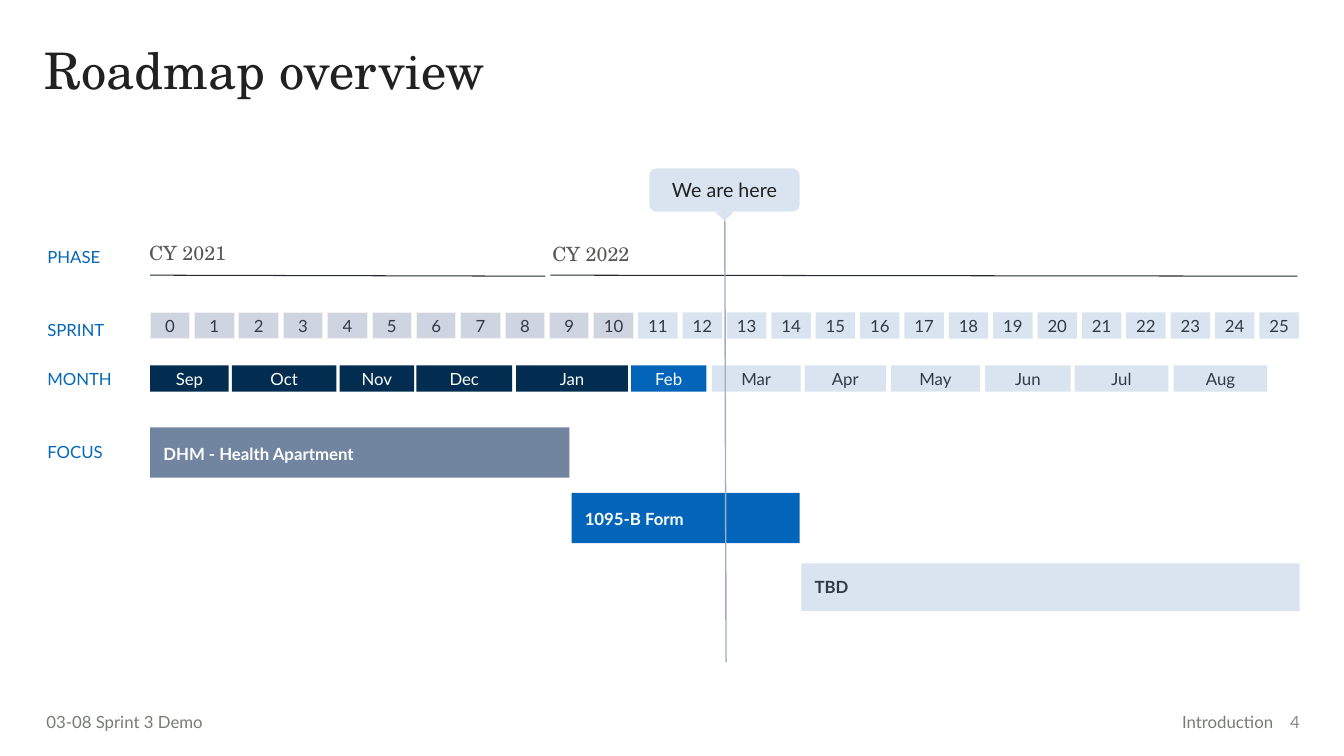
from lxml.etree import SubElement
from pptx import Presentation
from pptx.dml.color import RGBColor
from pptx.enum.shapes import MSO_CONNECTOR as Connector, MSO_SHAPE as Shape
from pptx.enum.text import MSO_ANCHOR as Anchor, MSO_AUTO_SIZE as AutoSize, PP_ALIGN as Align
from pptx.oxml.ns import qn
from pptx.util import Inches, Pt

WHITE = RGBColor(0xFD, 0xFF, 0xFD)
INK = RGBColor(0x20, 0x21, 0x20)
SLATE = RGBColor(0x30, 0x3A, 0x46)
RULE = RGBColor(0x23, 0x2B, 0x34)
YEAR_GREY = RGBColor(0x56, 0x59, 0x56)
FOOTER_GREY = RGBColor(0x74, 0x7C, 0x74)
NUMBER_GREY = RGBColor(0x8A, 0x8A, 0x8A)
LABEL_BLUE = RGBColor(0x04, 0x67, 0xB8)
BLUE = RGBColor(0x03, 0x65, 0xB9)
NAVY = RGBColor(0x02, 0x2D, 0x50)
STEEL = RGBColor(0x71, 0x85, 0xA0)
PALE = RGBColor(0xDA, 0xE4, 0xF0)
DONE = RGBColor(0xCE, 0xD5, 0xE0)
DONE_EDGE = RGBColor(0xF0, 0xF1, 0xF0)
MARKER = RGBColor(0xA1, 0xAE, 0xBF)
SANS, SERIF = "Lato", "TeX Gyre Schola"

LABELS = [("PHASE", 4.9), ("SPRINT", 6.34), ("MONTH", 7.32), ("FOCUS", 8.76)]
YEARS = [("CY 2021", -0.25, 4.68, 0, 8.91), ("CY 2022", 8.84, 4.7, 9.02, 25.86)]
MONTHS = [
    ("Sep", 0, 1.77), ("Oct", 1.84, 2.36), ("Nov", 4.27, 1.68), ("Dec", 6, 2.16),
    ("Jan", 8.25, 2.52), ("Feb", 10.84, 1.7), ("Mar", 12.66, 2), ("Apr", 14.75, 1.84),
    ("May", 16.7, 2), ("Jun", 18.82, 1.93), ("Jul", 20.84, 2.11), ("Aug", 23.07, 2.11),
]
FOCUSES = [
    ("DHM - Health Apartment", (0, 8.48, 9.45, 1), STEEL, WHITE, 1.15),
    ("1095-B Form", (9.5, 9.78, 5.14, 1), BLUE, WHITE, 1.15),
    ("TBD", (14.68, 11.18, 11.23, 0.94), PALE, SLATE, 1),
]


def write_text(box, text, font=SANS, size=12, color=SLATE, bold=False, align=Align.LEFT,
               anchor=Anchor.TOP, margins=(0.1, 0.05, 0.1, 0.05), spacing=1):
    """Put formatted text into a box."""
    frame = box.text_frame
    frame.word_wrap, frame.auto_size = True, AutoSize.NONE
    frame.vertical_anchor = anchor
    frame.margin_left, frame.margin_top, frame.margin_right, frame.margin_bottom = map(Inches, margins)
    para = frame.paragraphs[0]
    para.alignment, para.line_spacing = align, spacing
    span = para.add_run()
    span.text = text
    span.font.name, span.font.size, span.font.bold = font, Pt(size), bold
    span.font.color.rgb = color


class Roadmap:
    """Holds the current page and its grid: one column per sprint, half-inch rows."""

    left, column, row = 1.49, 0.44, 0.5

    def __init__(self, deck):
        self.page = deck.slides.add_slide(deck.slide_layouts[5])

    def x(self, columns):
        """Turn a column position into a length."""
        return Inches(self.left + columns * self.column)

    def y(self, rows):
        """Turn a row position into a length."""
        return Inches(rows * self.row)

    def area(self, place):
        """Turn column, row, columns wide and rows high into lengths."""
        column, row, wide, high = place
        return self.x(column), self.y(row), Inches(wide * self.column), self.y(high)

    def title(self, text, place):
        """Fill and place the title placeholder."""
        box = self.page.shapes.title
        box.left, box.top, box.width, box.height = self.area(place)
        write_text(box, text, font=SERIF, size=36, color=INK, spacing=0.9)

    def text(self, text, place, **style):
        """Add a text box."""
        write_text(self.page.shapes.add_textbox(*self.area(place)), text, **style)

    def block(self, place, fill, kind=Shape.RECTANGLE, edge=None):
        """Add a filled shape with an optional outline."""
        box = self.page.shapes.add_shape(kind, *self.area(place))
        box.shadow.inherit = False
        box.fill.solid()
        box.fill.fore_color.rgb = fill
        if edge is None:
            box.line.fill.background()
        else:
            box.line.color.rgb, box.line.width = edge, Pt(0.75)
        return box

    def cell(self, text, place, fill, color, edge=None):
        """Add a centred cell of a timeline row."""
        write_text(self.block(place, fill, edge=edge), text, color=color,
                   align=Align.CENTER, margins=(0.03,) * 4)

    def line(self, start, end, color, width):
        """Add a straight line between two grid points."""
        rule = self.page.shapes.add_connector(
            Connector.STRAIGHT, self.x(start[0]), self.y(start[1]), self.x(end[0]), self.y(end[1]))
        rule.line.color.rgb, rule.line.width = color, Pt(width)
        SubElement(rule.element.spPr, qn("a:effectLst"))
        return rule

    def here_marker(self, text):
        """Add the grouped marker for the present date."""
        rule = self.line((12.95, 3.78), (12.98, 13.14), MARKER, 1)
        bubble = self.block((11.25, 3.34, 3.39, 0.86), PALE, Shape.ROUNDED_RECTANGLE)
        write_text(bubble, text, size=14, color=INK, align=Align.CENTER, anchor=Anchor.MIDDLE)
        pointer = self.block((12.73, 4.2, 0.43, 0.18), PALE, Shape.ISOSCELES_TRIANGLE)
        pointer.rotation = 180
        self.page.shapes.add_group_shape([rule, bubble, pointer])


def main():
    """Build the roadmap deck."""
    deck = Presentation()
    deck.slide_width, deck.slide_height = Inches(13.33), Inches(7.5)
    roadmap = Roadmap(deck)
    roadmap.title("Roadmap overview", (-2.61, 0.82, 28.23, 1.64))
    roadmap.text("4", (25.14, 13.92, 1, 0.8), color=NUMBER_GREY, align=Align.RIGHT, anchor=Anchor.MIDDLE)
    roadmap.text("Introduction", (18.77, 14.02, 6.77, 0.6), color=FOOTER_GREY, align=Align.RIGHT)
    roadmap.text("03-08 Sprint 3 Demo", (-2.34, 14.02, 6.77, 0.6), color=FOOTER_GREY,
                 margins=(0, 0.05, 0.1, 0.05))
    for label, row in LABELS:
        roadmap.text(label, (-2.32, row, 1.77, 0.4), color=LABEL_BLUE, margins=(0,) * 4)
    for year, column, row, start, end in YEARS:
        roadmap.line((start, 5.46), (end, 5.48), RULE, 0.75)
        roadmap.text(year, (column, row, 6.82, 0.68), font=SERIF, size=14, color=YEAR_GREY)
    for sprint in range(26):
        fill, edge = (DONE, DONE_EDGE) if sprint <= 10 else (PALE, None)
        roadmap.cell(str(sprint), (sprint, 6.2, 0.89, 0.52), fill, SLATE, edge)
    for index, (month, column, wide) in enumerate(MONTHS):
        fill = NAVY if index < 5 else BLUE if index == 5 else PALE
        roadmap.cell(month, (column, 7.25, wide, 0.52), fill, SLATE if fill == PALE else WHITE)
    for name, place, fill, color, spacing in FOCUSES:
        write_text(roadmap.block(place, fill), name, color=color, bold=True,
                   margins=(0.13,) * 4, spacing=spacing)
    roadmap.here_marker("We are here")
    deck.save("out.pptx")


if __name__ == "__main__":
    main()
